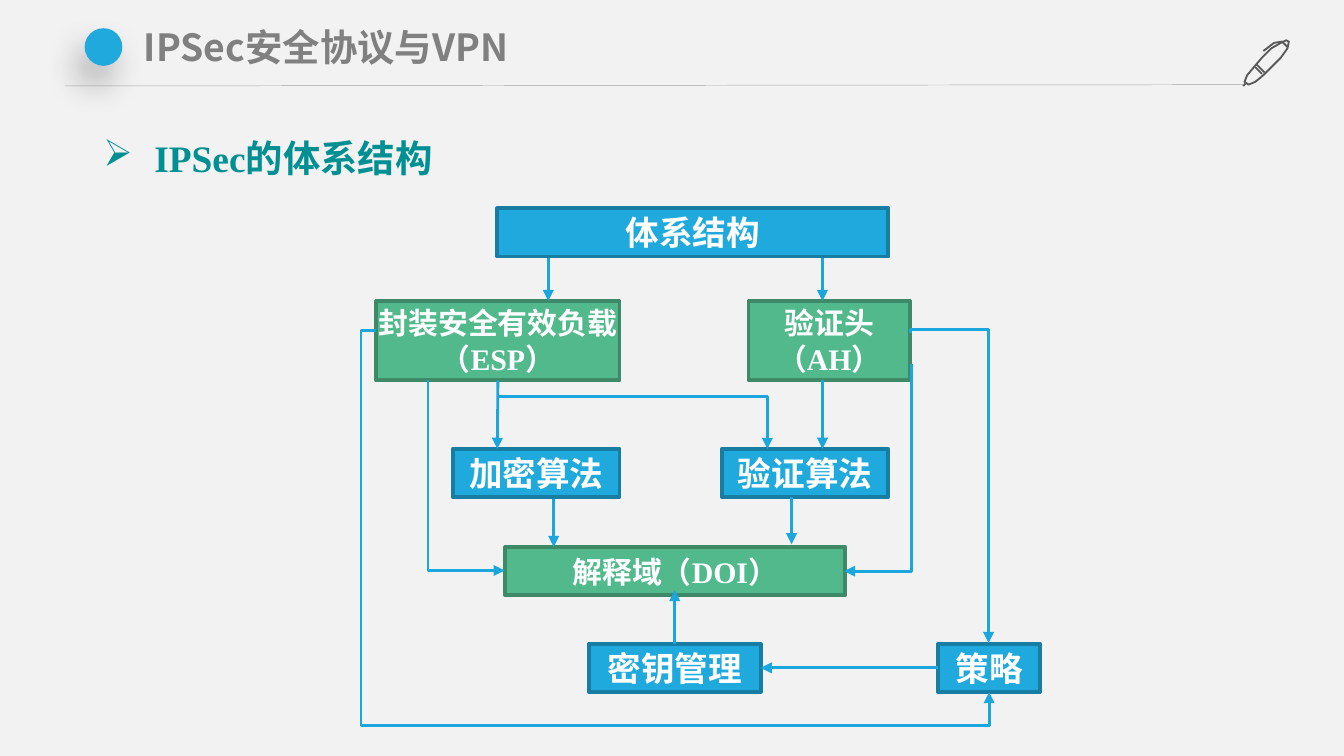
from dataclasses import dataclass
from typing import Optional

from lxml import etree
from pptx import Presentation
from pptx.dml.color import RGBColor
from pptx.enum.shapes import MSO_CONNECTOR, MSO_SHAPE
from pptx.enum.text import MSO_ANCHOR, PP_ALIGN
from pptx.oxml.ns import qn
from pptx.util import Pt

PX = 9144
RECT, OVAL = MSO_SHAPE.RECTANGLE, MSO_SHAPE.OVAL
STRAIGHT, ELBOW = MSO_CONNECTOR.STRAIGHT, MSO_CONNECTOR.ELBOW
LEFT, CENTER = PP_ALIGN.LEFT, PP_ALIGN.CENTER
TOP, MIDDLE = MSO_ANCHOR.TOP, MSO_ANCHOR.MIDDLE


@dataclass(frozen=True)
class Theme:
    back: str = "F2F2F2"
    blue: str = "20A9DD"
    navy: str = "187DA3"
    green: str = "52B98C"
    moss: str = "3D8968"
    wire: str = "1BA7DD"
    rule: str = "A6A6A6"
    pen: str = "595959"
    title: str = "808080"
    head: str = "008F92"
    white: str = "FFFFFF"
    shade: str = "000000"
    serif: str = "Times New Roman"
    sans: str = "Noto Sans CJK SC"
    large: int = 20
    mid: int = 18
    small: int = 16


T = Theme()


@dataclass(frozen=True)
class Box:
    key: str
    text: str
    x: int
    y: int
    w: int
    h: int = 36
    green: bool = False


@dataclass(frozen=True)
class Wire:
    x1: int
    y1: int
    x2: int
    y2: int
    start: Optional[tuple[str, int]] = None
    end: Optional[tuple[str, int]] = None


@dataclass(frozen=True)
class Bend:
    x: int
    y: int
    w: int
    h: int
    kind: int = 2
    turn: int = 0
    flip: bool = False
    adj: tuple[int, ...] = ()


BOXES = [
    Box("arch", "体系结构", 370, 155, 291),
    Box("esp", "封装安全有效负载\n（ESP）", 280, 224, 181, 59, True),
    Box("ah", "验证头\n（AH）", 557, 224, 120, 59, True),
    Box("crypt", "加密算法", 337, 334, 124),
    Box("auth", "验证算法", 537, 334, 124),
    Box("doi", "解释域（DOI）", 376, 407, 253, 36, True),
    Box("key", "密钥管理", 438, 479, 128),
    Box("rule", "策略", 698, 479, 76),
]
WIRES = [
    Wire(408, 192, 408, 224),
    Wire(612, 192, 612, 224),
    Wire(370, 283, 370, 334, start=("esp", 2)),
    Wire(612, 283, 612, 334),
    Wire(589, 370, 589, 405),
    Wire(412, 371, 412, 407),
    Wire(502, 479, 502, 439, start=("key", 0)),
    Wire(698, 497, 566, 497, start=("rule", 1), end=("key", 3)),
]
BENDS = [
    Bend(370, 295, 201, 39),
    Bend(276, 325, 142, 57, turn=270, flip=True),
    Bend(280, 246, 456, 269, kind=4, adj=(-2500, 109300)),
    Bend(591, 334, 231, 58, kind=3, turn=270, flip=True, adj=(-1000,)),
    Bend(576, 323, 154, 50, turn=90),
]
PEN = [
    [(939, 55), (934, 50)],
    [(935, 48), (941, 54)],
    [(959, 31), (957, 30), (953, 32), (946, 36), (939, 43), (933, 50),
     (928, 56), (926, 61), (929, 63), (934, 61), (940, 56), (946, 50),
     (953, 43), (958, 36), (959, 31)],
    [(927, 62), (925, 64)],
    [(958, 35), (954, 31), (948, 32), (940, 38)],
]


def rgb(code: str) -> RGBColor:
    return RGBColor.from_string(code)


def sub(node, tag: str, **attrs):
    return etree.SubElement(node, qn(tag), attrs)


def write(shape, text: str, *, size: int, color: str, font: str = T.serif,
          align=CENTER, anchor=MIDDLE, pad: tuple[int, int] = (0, 0),
          mark: str = "", space: float = 1.0, after: int = 0) -> None:
    frame = shape.text_frame
    frame.word_wrap = True
    frame.vertical_anchor = anchor
    frame.margin_left = frame.margin_right = pad[0] * PX
    frame.margin_top = frame.margin_bottom = pad[1] * PX
    for num, line in enumerate(text.split("\n")):
        para = frame.add_paragraph() if num else frame.paragraphs[0]
        para.alignment = align
        para.line_spacing = space
        para.space_after = Pt(after)
        if mark:
            props = para._p.get_or_add_pPr()
            props.set("marL", str(38 * PX))
            props.set("indent", str(-38 * PX))
            sub(props, "a:buChar", char=mark)
        run = para.add_run()
        run.text = line
        run.font.size = Pt(size)
        run.font.bold = True
        run.font.name = font
        run.font.color.rgb = rgb(color)
        sub(run._r.get_or_add_rPr(), "a:ea", typeface=T.sans)


def label(slide, x: int, y: int, w: int, h: int, text: str, **look) -> None:
    area = slide.shapes.add_textbox(x * PX, y * PX, w * PX, h * PX)
    write(area, text, align=LEFT, anchor=TOP, size=T.large, **look)


def node(slide, box: Box):
    shape = slide.shapes.add_shape(
        RECT, box.x * PX, box.y * PX, box.w * PX, box.h * PX)
    shape.shadow.inherit = False
    shape.fill.solid()
    shape.fill.fore_color.rgb = rgb(T.green if box.green else T.blue)
    shape.line.color.rgb = rgb(T.moss if box.green else T.navy)
    shape.line.width = Pt(2)
    write(shape, box.text, size=T.small if box.green else T.mid, color=T.white)
    return shape


def link(slide, kind, x1: int, y1: int, x2: int, y2: int,
         color: str = T.wire, width: float = 1.5, arrow: bool = True):
    line = slide.shapes.add_connector(kind, x1 * PX, y1 * PX, x2 * PX, y2 * PX)
    line.line.color.rgb = rgb(color)
    line.line.width = Pt(width)
    props = line._element.spPr
    if arrow:
        sub(props.find(qn("a:ln")), "a:tailEnd", type="triangle")
    sub(props, "a:effectLst")
    return line


def join(slide, wire: Wire, nodes: dict) -> None:
    line = link(slide, STRAIGHT, wire.x1, wire.y1, wire.x2, wire.y2)
    if wire.start:
        line.begin_connect(nodes[wire.start[0]], wire.start[1])
    if wire.end:
        line.end_connect(nodes[wire.end[0]], wire.end[1])


def bend(slide, way: Bend) -> None:
    line = link(slide, ELBOW, way.x, way.y, way.x + way.w, way.y + way.h)
    props = line._element.spPr
    frame = props.find(qn("a:xfrm"))
    frame.set("rot", str(way.turn * 60000))
    frame.set("flipH", str(int(way.flip)))
    geom = props.find(qn("a:prstGeom"))
    geom.set("prst", f"bentConnector{way.kind}")
    guides = geom.find(qn("a:avLst"))
    for num, value in enumerate(way.adj, 1):
        name = f"adj{num}" if len(way.adj) > 1 else "adj1"
        sub(guides, "a:gd", name=name, fmla=f"val {value}")


def pen(slide) -> None:
    form = slide.shapes.build_freeform(*PEN[0][0], scale=PX)
    for num, path in enumerate(PEN):
        if num:
            form.move_to(*path[0])
        form.add_line_segments(path[1:], close=False)
    shape = form.convert_to_shape()
    shape.shadow.inherit = False
    shape.fill.background()
    shape.line.color.rgb = rgb(T.pen)
    shape.line.width = Pt(1)


def dot(slide) -> None:
    shape = slide.shapes.add_shape(OVAL, 63 * PX, 21 * PX, 28 * PX, 28 * PX)
    shape.fill.solid()
    shape.fill.fore_color.rgb = rgb(T.blue)
    shape.line.fill.background()
    glow = sub(sub(shape._element.spPr, "a:effectLst"), "a:outerShdw",
               blurRad=str(Pt(18)), dist=str(Pt(11)), dir=str(113 * 60000),
               algn="ctr", rotWithShape="0")
    sub(sub(glow, "a:srgbClr", val=T.shade), "a:alpha", val="27000")


def main() -> None:
    deck = Presentation()
    deck.slide_width = 1000 * PX
    deck.slide_height = deck.slide_width * 9 // 16
    slide = deck.slides.add_slide(deck.slide_layouts[6])
    slide.background.fill.solid()
    slide.background.fill.fore_color.rgb = rgb(T.back)
    link(slide, STRAIGHT, 48, 64, 925, 63, T.rule, 0.25, False)
    pen(slide)
    dot(slide)
    label(slide, 67, 86, 898, 50, "IPSec的体系结构", color=T.head,
          pad=(10, 5), mark="➢", space=1.3, after=3)
    label(slide, 98, 14, 827, 43, "IPSec安全协议与VPN", color=T.title,
          font=T.sans, pad=(9, 4))
    nodes = {box.key: node(slide, box) for box in BOXES}
    for wire in WIRES:
        join(slide, wire, nodes)
    for way in BENDS:
        bend(slide, way)
    deck.save("out.pptx")


if __name__ == "__main__":
    main()
